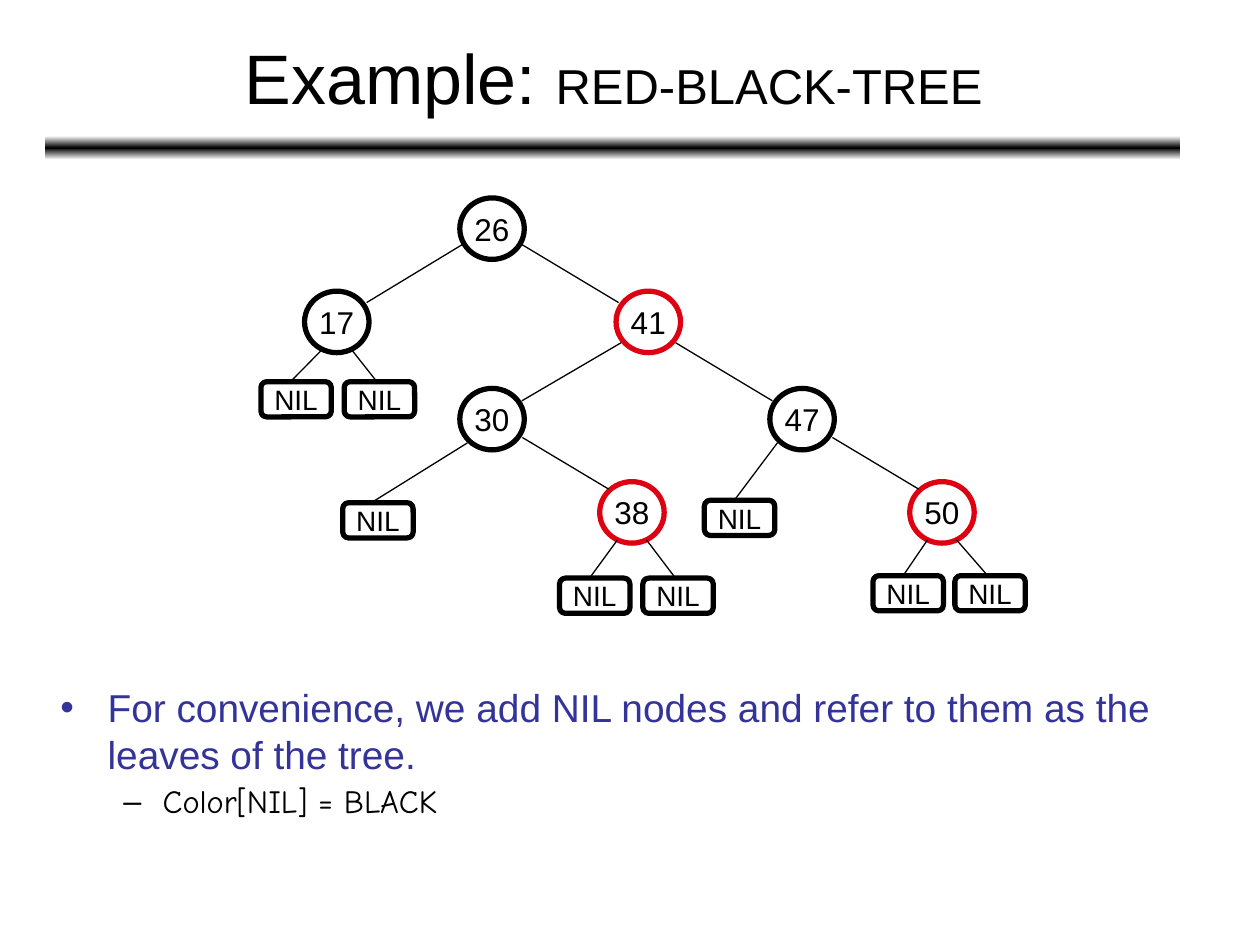
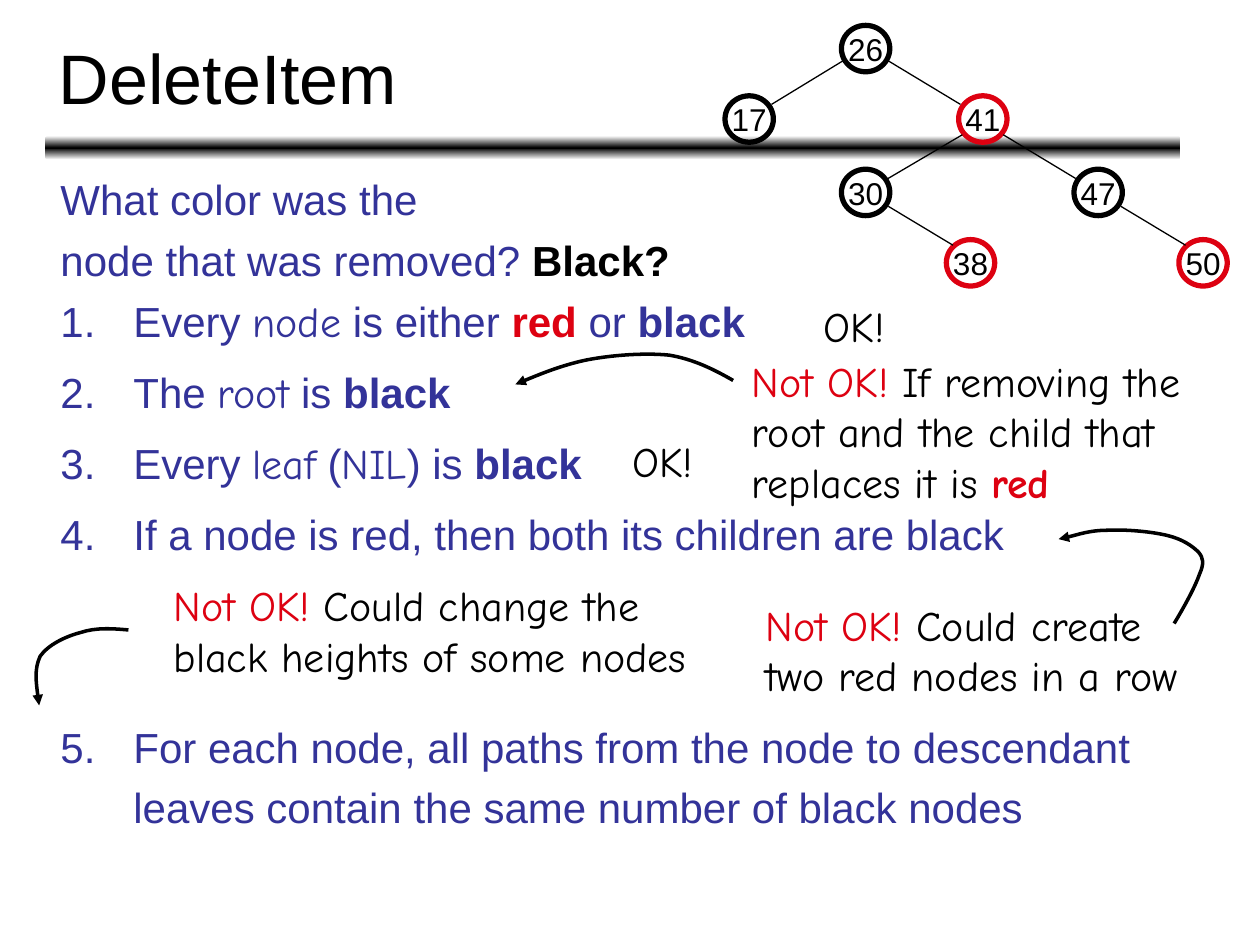
from lxml.etree import SubElement as Sub
from copy import deepcopy
from pptx import Presentation
from pptx.dml.color import RGBColor
from pptx.enum.shapes import MSO_CONNECTOR as CONN, MSO_SHAPE as SHAPE
from pptx.enum.text import MSO_ANCHOR as ANCHOR, MSO_AUTO_SIZE as FIT, PP_ALIGN as ALIGN
from pptx.oxml.ns import qn
from pptx.util import Cm, Pt

BLACK = RGBColor(0x00, 0x00, 0x00)
WHITE = RGBColor(0xFF, 0xFF, 0xFF)
RED = RGBColor(0xDD, 0x01, 0x11)
BLUE = RGBColor(0x33, 0x33, 0x99)

# Run formats
ARIAL, COMIC = {"name": "Arial"}, {"name": "Comic Neue"}
TITLE = {**ARIAL, "size": Pt(40)}
TITLE_SMALL = {**ARIAL, "size": Pt(28)}
NODE = {**ARIAL, "size": Pt(18)}
LEAF = {**ARIAL, "size": Pt(16)}
POINT = {**ARIAL, "size": Pt(22.2), "color": BLUE}
SUBPOINT = {**COMIC, "size": Pt(18.5)}
BODY = {**ARIAL, "size": Pt(24), "color": BLUE}
TERM = {**BODY, **COMIC}
STRONG = {**BODY, "bold": True}
NOTE = {**COMIC, "size": Pt(24)}
NOT_OK = {**NOTE, "color": RED}


def write(p, runs, bullet=None, margin=0, indent=0, **fmt):
    """Fill a paragraph; bullet is a character or a first number."""
    for key, value in fmt.items():
        setattr(p, key, value)
    for text, font in runs:
        r = p.add_run()
        r.text = text
        r.font.color.rgb = font.get("color", BLACK)
        for key, value in font.items():
            if key != "color":
                setattr(r.font, key, value)
    pPr = p._p.get_or_add_pPr()
    pPr.set("marL", str(Cm(margin)))
    pPr.set("indent", str(Cm(indent)))
    if bullet:
        color = runs[0][1].get("color", BLACK)
        Sub(Sub(pPr, qn("a:buClr")), qn("a:srgbClr"), val=str(color))
        Sub(pPr, qn("a:buFont"), typeface="Arial")
        if isinstance(bullet, int):
            Sub(pPr, qn("a:buAutoNum"), type="arabicPeriod", startAt=str(bullet))
        else:
            Sub(pPr, qn("a:buChar"), char=bullet)


def add_node(s, kind, x, y, w, h, text, font, color=BLACK):
    """Outlined tree node centred on x, y."""
    sp = s.shapes.add_shape(kind, Cm(x - w / 2), Cm(y - h / 2), Cm(w), Cm(h))
    sp.shadow.inherit = False
    sp.fill.background()
    sp.line.color.rgb = color
    sp.line.width = Pt(3)
    tf = sp.text_frame
    tf.word_wrap = False
    tf.vertical_anchor = ANCHOR.MIDDLE
    write(tf.paragraphs[0], [(text, font)], alignment=ALIGN.CENTER)


# Tree: key -> centre x, centre y, colour
NODES = {
    26: (9.92, 4.61, BLACK), 17: (6.79, 6.49, BLACK), 41: (13.07, 6.49, RED),
    30: (9.92, 8.45, BLACK), 47: (16.17, 8.45, BLACK),
    38: (12.74, 10.33, RED), 50: (18.99, 10.33, RED),
}
# Parent-child pairs by level, with the offsets of the edge ends
LEVELS = [
    ([(26, 17), (26, 41)], (0.6, 0.32), (0.6, 0.39)),
    ([(41, 30), (41, 47)], (0.55, 0.42), (0.6, 0.37)),
    ([(30, 38), (47, 50)], (0.61, 0.37), (0.47, 0.47)),
]
# NIL leaves: parent, centre x, centre y
LEAVES = [
    (17, 5.97, 8.05), (17, 7.65, 8.05), (30, 7.62, 10.49), (38, 11.99, 12.01),
    (38, 13.67, 12.01), (50, 18.31, 11.96), (50, 19.96, 11.96), (47, 14.91, 10.44),
]

prs = Presentation()
prs.slide_width, prs.slide_height = Cm(25.4), Cm(19.05)

# Title, alignment, tree scale (x, y), tree shift (x, y), leaves
PAGES = [
    ([("Example: ", TITLE), ("RED-BLACK-TREE", TITLE_SMALL)], ALIGN.CENTER,
     (1, 1), (0, 0), LEAVES),
    ([("DeleteItem", TITLE)], ALIGN.LEFT, (0.75, 0.755), (10.01, -2.5), []),
]
for title, align, (kx, ky), (dx, dy), leaves in PAGES:
    s = prs.slides.add_slide(prs.slide_layouts[6])

    # Gradient band
    sp = s.shapes.add_shape(SHAPE.ROUNDED_RECTANGLE, Cm(0.91), Cm(2.74), Cm(22.89), Cm(0.48))
    sp.shadow.inherit = False
    sp.line.fill.background()
    sp.fill.gradient()
    sp.fill.gradient_angle = 90
    stops = sp._element.spPr.find(qn("a:gradFill")).find(qn("a:gsLst"))
    stops.append(deepcopy(stops[0]))
    for stop, pos, color in zip(sp.fill.gradient_stops, (0, 0.5, 1), (WHITE, BLACK, WHITE)):
        stop.position, stop.color.rgb = pos, color

    # Title
    tf = s.shapes.add_textbox(Cm(0.94), Cm(0.28), Cm(22.86), Cm(2.51)).text_frame
    tf.word_wrap = True
    tf.vertical_anchor = ANCHOR.MIDDLE
    write(tf.paragraphs[0], title, alignment=align)

    # Nodes and leaves
    for key, (x, y, color) in NODES.items():
        add_node(s, SHAPE.OVAL, x * kx + dx, y * ky + dy, 1.3 * kx, 1.24 * ky,
                 str(key), NODE, color)
    for _, x, y in leaves:
        add_node(s, SHAPE.ROUNDED_RECTANGLE, x, y, 1.42, 0.71, "NIL", LEAF)

    # Edges
    edges = []
    for pairs, (px, py), (cx, cy) in LEVELS:
        for parent, child in pairs:
            (x1, y1, _), (x2, y2, _) = NODES[parent], NODES[child]
            side = 1 if x2 > x1 else -1
            edges.append((x1 + side * px, y1 + py, x2 - side * cx, y2 - cy))
    for parent, x, y in leaves:
        x1, y1, _ = NODES[parent]
        side = 1 if x > x1 else -1
        px, py = (0.5, 0.48) if parent in (30, 47) else (0.29, 0.55)
        edges.append((x1 + side * px, y1 + py, x - 0.08, y - 0.39))
    for x1, y1, x2, y2 in edges:
        c = s.shapes.add_connector(CONN.STRAIGHT, Cm(x1 * kx + dx), Cm(y1 * ky + dy),
                                   Cm(x2 * kx + dx), Cm(y2 * ky + dy))
        c.line.color.rgb = BLACK
        c.line.width = Pt(0.74)
        Sub(c._element.spPr, qn("a:effectLst"))

# Body texts: slide number, box, paragraphs (runs, format)
HANG = {"margin": 1.47, "indent": -1.47, "space_before": Pt(6)}
WIDE = {**HANG, "line_spacing": 1.2}
BODIES = [
    (0, (0.97, 13.66, 23.72, 3.2), [
        ([("For convenience, we add NIL nodes and refer to them as the leaves of the tree.",
           POINT)],
         {"bullet": "•", "margin": 0.95, "indent": -0.95, "space_before": Pt(6)}),
        ([("Color[NIL] = BLACK", SUBPOINT)],
         {"bullet": "–", "margin": 2.06, "indent": -0.79, "space_before": Pt(5),
          "line_spacing": 0.9}),
    ]),
    (1, (0.97, 3.38, 22.86, 14.1), [
        ([("What color was the", BODY)], HANG),
        ([("node that was removed? ", BODY), ("Black?", {**STRONG, "color": BLACK})], HANG),
        ([("Every ", BODY), ("node", TERM), (" is either ", BODY),
          ("red", {**STRONG, "color": RED}), (" or ", BODY), ("black", STRONG)],
         {**HANG, "bullet": 1}),
        ([("The ", BODY), ("root", TERM), (" is ", BODY), ("black", STRONG)],
         {**WIDE, "bullet": 2}),
        ([("Every ", BODY), ("leaf", TERM), (" (", BODY), ("NIL", TERM), (") is ", BODY),
          ("black", STRONG)], {**WIDE, "bullet": 3}),
        ([("If a node is red, then both its children are black", BODY)],
         {**WIDE, "bullet": 4}),
        ([("For each node, all paths from the node to descendant leaves contain "
           "the same number of black nodes", BODY)],
         {**WIDE, "bullet": 5, "space_before": Pt(87)}),
    ]),
]
for number, box, paragraphs in BODIES:
    tf = prs.slides[number].shapes.add_textbox(*map(Cm, box)).text_frame
    tf.word_wrap = True
    for i, (runs, fmt) in enumerate(paragraphs):
        write(tf.add_paragraph() if i else tf.paragraphs[0], runs, **fmt)

# Remarks beside the rules: box, wrap, paragraphs
REMARKS = [
    ((16.36, 5.94, 1.73, 1.27), False, [[("OK!", NOTE)]]),
    ((12.5, 8.66, 1.73, 1.27), False, [[("OK!", NOTE)]]),
    ((15.19, 11.96, 8.84, 2.29), False,
     [[("Not OK!", NOT_OK), (" Could create", NOTE)], [("two red nodes in a row", NOTE)]]),
    ((3.25, 11.56, 10.85, 2.29), False,
     [[("Not OK!", NOT_OK), (" Could change the", NOTE)],
      [("black heights of some nodes", NOTE)]]),
    ((14.91, 7.04, 9.93, 3.3), True,
     [[("Not OK!", NOT_OK),
       (" If removing the root and the child that replaces it is ", NOTE),
       ("red", {**NOT_OK, "bold": True})]]),
]
for box, wrap, paragraphs in REMARKS:
    tf = s.shapes.add_textbox(*map(Cm, box)).text_frame
    tf.word_wrap = wrap
    tf.auto_size = FIT.SHAPE_TO_FIT_TEXT
    for i, runs in enumerate(paragraphs):
        write(tf.add_paragraph() if i else tf.paragraphs[0], runs)

# Curved arrows: start, then three points for each Bezier piece
ARROWS = [
    [(23.67, 12.57), (23.9, 12.19), (24.1, 11.81), (24.18, 11.58), (24.28, 11.35),
     (24.26, 11.25), (24.16, 11.13), (24.03, 11), (23.83, 10.87), (23.55, 10.8),
     (23.24, 10.72), (22.71, 10.67), (22.33, 10.69), (21.97, 10.69), (21.41, 10.87),
     (21.34, 10.87)],
    [(2.59, 12.7), (2.26, 12.67), (1.93, 12.65), (1.63, 12.75), (1.32, 12.83),
     (0.97, 13), (0.81, 13.23), (0.69, 13.49), (0.74, 13.87), (0.79, 14.22)],
    [(14.78, 7.67), (14.38, 7.44), (13.97, 7.24), (13.49, 7.16), (12.98, 7.11),
     (12.32, 7.16), (11.81, 7.26), (11.3, 7.37), (10.62, 7.65), (10.39, 7.75)],
]
for points in ARROWS:
    start, *rest = [(Cm(x), Cm(y)) for x, y in points]
    fb = s.shapes.build_freeform(*start)
    fb.add_line_segments(rest, close=False)
    sp = fb.convert_to_shape()
    sp.shadow.inherit = False
    sp.fill.background()
    sp.line.color.rgb = BLACK
    sp.line.width = Pt(2)
    Sub(sp.line._get_or_add_ln(), qn("a:tailEnd"), type="triangle")
    # Join each three segments into one curve
    outline = next(sp._element.iter(qn("a:path")))
    segments = outline.findall(qn("a:lnTo"))
    for i in range(0, len(segments), 3):
        curve = Sub(outline, qn("a:cubicBezTo"))
        for seg in segments[i:i + 3]:
            curve.append(seg[0])
            outline.remove(seg)

prs.save("out.pptx")
